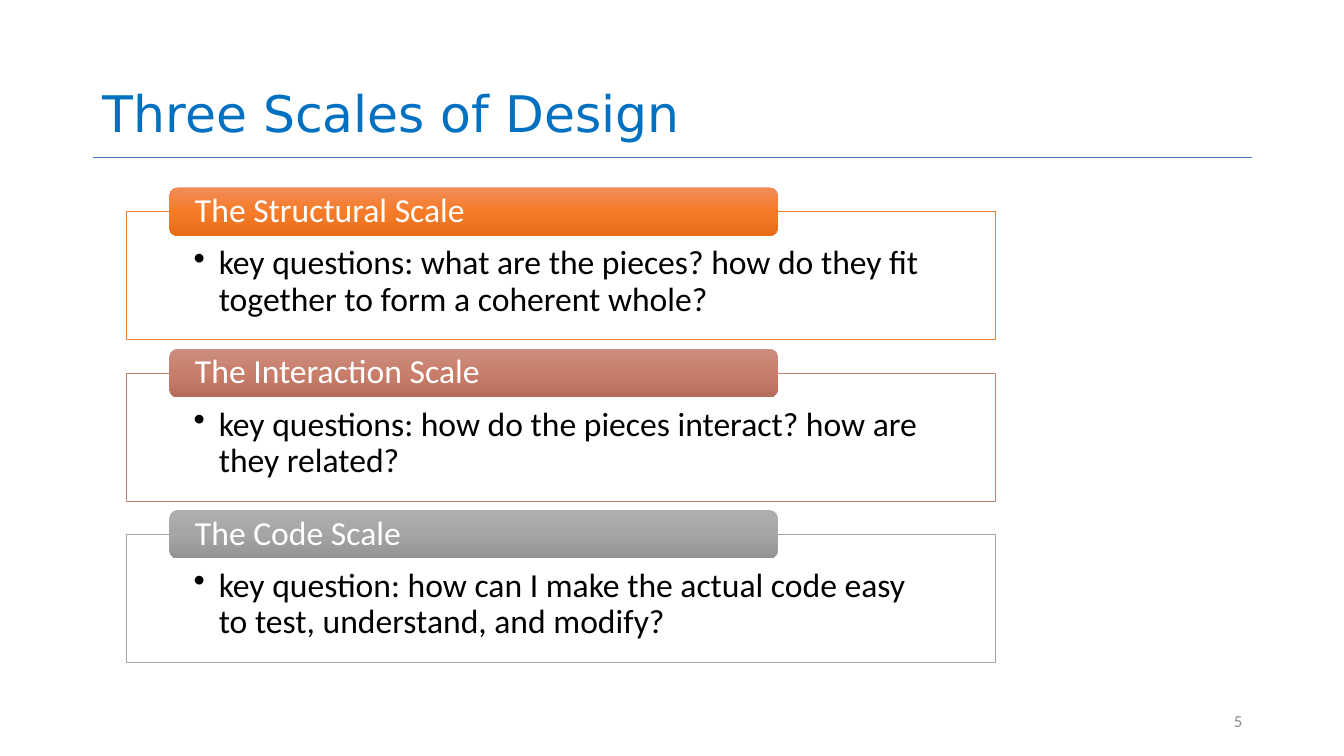
from copy import deepcopy

from lxml import etree
from pptx import Presentation
from pptx import util as u
from pptx.dml.color import RGBColor
from pptx.enum import shapes, text
from pptx.oxml import ns

TITLE = "Three Scales of Design"
PAGE = "5"
SCALES = [
    ("The Structural Scale",
     "key questions: what are the pieces? how do they fit together to form a coherent whole?",
     "ED7D31", ("F18C57", "F67B28", "E56C19")),
    ("The Interaction Scale",
     "key questions: how do the pieces interact? how are they related?",
     "C48170", ("CB8F81", "C97E6B", "B76D5B")),
    ("The Code Scale",
     "key question: how can I make the actual code easy to test, understand, and modify?",
     "A5A5A5", ("AFAFAF", "A5A5A5", "939393")),
]
THEME = {
    "title": ("DejaVu Sans", 36, "0070C0"),
    "heading": ("Calibri", 24, "FFFFFF"),
    "body": ("Calibri", 24, "000000"),
    "page": ("Calibri", 12, "8C8C8C"),
    "rule": "4472C4", "panel": "FFFFFF", "hairline": 0.5,
}
WIDTH, HEIGHT = 13.33, 7.5
MARGIN, CONTENT_W = 0.92, 11.5
PANEL_X, PANEL_Y, PANEL_W, PANEL_H, PITCH = 1.25, 2.1, 8.62, 1.27, 1.6
TAB_W, TAB_H, TAB_INDENT = 0.7 * PANEL_W, 0.48, 0.05 * PANEL_W


def box(*lengths):
    """Convert lengths in inches to slide units."""
    return [u.Inches(n) for n in lengths]


def write(sp, words, style, anchor, insets=(0.1, 0.05, 0.1, 0.05),
          align=text.PP_ALIGN.LEFT, spacing=0.9):
    """Fill a shape with one styled paragraph and return it."""
    tf = sp.text_frame
    tf.word_wrap, tf.auto_size = True, text.MSO_AUTO_SIZE.NONE
    tf.vertical_anchor = anchor
    tf.margin_left, tf.margin_top, tf.margin_right, tf.margin_bottom = box(*insets)
    p = tf.paragraphs[0]
    p.text, p.alignment, p.line_spacing = words, align, spacing
    name, size, color = THEME[style]
    p.font.name, p.font.size = name, u.Pt(size)
    p.font.color.rgb = RGBColor.from_string(color)
    return p


def add_bullet(p, indent):
    """Give a paragraph a hanging round bullet."""
    pPr = p._p.get_or_add_pPr()
    pPr.set("marL", str(u.Inches(indent)))
    pPr.set("indent", str(-u.Inches(indent)))
    bullet = etree.Element(ns.qn("a:buChar"), char="•")
    pPr.insert_element_before(bullet, "a:tabLst", "a:defRPr", "a:extLst")


def shade(sp, colors):
    """Fill a shape with an even gradient from top to bottom."""
    sp.fill.gradient()
    sp.fill.gradient_angle = 270
    stops = sp._element.spPr.find(".//" + ns.qn("a:gsLst"))
    stops.insert(1, deepcopy(stops[0]))
    for i, (stop, color) in enumerate(zip(sp.fill.gradient_stops, colors)):
        stop.color.rgb = RGBColor.from_string(color)
        stop.position = i / (len(colors) - 1)


def add_panel(slide, y, body, color):
    """Draw an outlined panel with its bulleted question."""
    sp = slide.shapes.add_shape(shapes.MSO_SHAPE.RECTANGLE,
                                *box(PANEL_X, y, PANEL_W, PANEL_H))
    sp.shadow.inherit = False
    sp.fill.solid()
    sp.fill.fore_color.rgb = RGBColor.from_string(THEME["panel"])
    fill = sp._element.spPr.find(ns.qn("a:solidFill"))
    etree.SubElement(fill[0], ns.qn("a:alpha"), val="90000")
    sp.line.color.rgb = RGBColor.from_string(color)
    sp.line.width = u.Pt(THEME["hairline"])
    p = write(sp, body, "body", text.MSO_ANCHOR.TOP, (0.67, 0.34, 0.67, 0.19))
    add_bullet(p, 0.25)


def add_tab(slide, y, heading, colors):
    """Draw the shaded heading that straddles a panel's top edge."""
    sp = slide.shapes.add_shape(shapes.MSO_SHAPE.ROUNDED_RECTANGLE,
                                *box(PANEL_X + TAB_INDENT, y - TAB_H / 2, TAB_W, TAB_H))
    sp.shadow.inherit = False
    shade(sp, colors)
    sp.line.fill.background()
    write(sp, heading, "heading", text.MSO_ANCHOR.MIDDLE, (0.23, 0, 0.23, 0))


prs = Presentation()
prs.slide_width, prs.slide_height = box(WIDTH, HEIGHT)
slide = prs.slides.add_slide(prs.slide_layouts[5])

title = slide.shapes.title
title.left, title.top, title.width, title.height = box(MARGIN, 0.02, CONTENT_W, 1.45)
write(title, TITLE, "title", text.MSO_ANCHOR.BOTTOM)

rule = slide.shapes.add_connector(shapes.MSO_CONNECTOR.STRAIGHT,
                                  *box(MARGIN, 1.56, MARGIN + CONTENT_W, 1.56))
rule.line.color.rgb = RGBColor.from_string(THEME["rule"])
rule.line.width = u.Pt(THEME["hairline"])
etree.SubElement(rule._element.spPr, ns.qn("a:effectLst"))

for row, (heading, body, color, colors) in enumerate(SCALES):
    y = PANEL_Y + row * PITCH
    add_panel(slide, y, body, color)
    add_tab(slide, y, heading, colors)

page = slide.shapes.add_textbox(*box(MARGIN + CONTENT_W - 3, 6.95, 3, 0.4))
write(page, PAGE, "page", text.MSO_ANCHOR.MIDDLE, align=text.PP_ALIGN.RIGHT, spacing=1.0)

prs.save("out.pptx")
